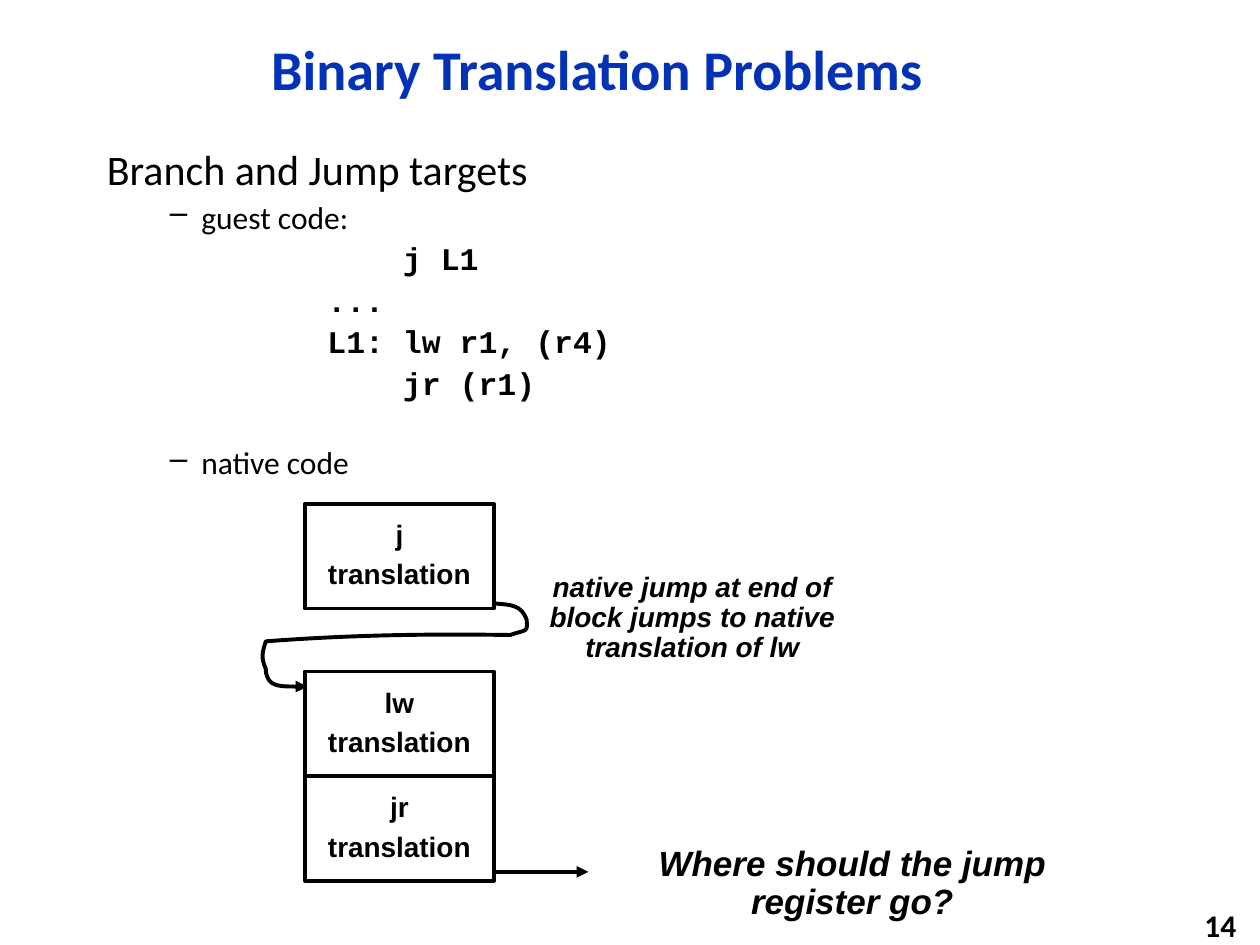
from pptx import Presentation
from pptx.dml.color import RGBColor
from pptx.enum.shapes import MSO_CONNECTOR as Connector, MSO_SHAPE as Shape
from pptx.enum.text import MSO_ANCHOR as Anchor, PP_ALIGN as Align
from pptx.oxml.ns import qn
from pptx.util import Inches, Pt
from lxml import etree

BLACK, BLUE = "000000", "0332B7"
BLOCK_W, BLOCK_H = 1.5, 0.83


def rgb(value):
    return RGBColor.from_string(value)


def style(paragraph, size, font="Arial", color=BLACK, bold=True, italic=False,
          align=Align.CENTER, spacing=0.9, before=0):
    face = paragraph.font
    face.name, face.size, face.bold, face.italic = font, Pt(size), bold, italic
    face.color.rgb = rgb(color)
    paragraph.alignment = align
    paragraph.line_spacing = spacing
    paragraph.space_before = Pt(before)


def indent(paragraph, left, bullet=None):
    """Set the left margin in inches; a bullet hangs 0.25 before it."""
    props = paragraph._p.get_or_add_pPr()
    props.set("marL", str(Inches(left)))
    props.set("indent", str(Inches(-0.25 if bullet else 0)))
    if bullet:
        etree.SubElement(props, qn("a:buChar")).set("char", bullet)
        # The bullet has to stand before the default run properties.
        props.append(props.find(qn("a:defRPr")))


def stroke(line, arrow=False):
    line.color.rgb = rgb(BLACK)
    line.width = Pt(2.25)
    if arrow:
        etree.SubElement(line._get_or_add_ln(), qn("a:tailEnd")).set("type", "triangle")


def add_title(slide, left, top, width, height):
    title = slide.shapes.title
    title.left, title.top = Inches(left), Inches(top)
    title.width, title.height = Inches(width), Inches(height)
    title.text_frame.text = "Binary Translation Problems"
    title.text_frame.vertical_anchor = Anchor.MIDDLE
    style(title.text_frame.paragraphs[0], 32, "Calibri", BLUE)


def add_text(slide, left, top, width, height, text, size, **look):
    box = slide.shapes.add_textbox(Inches(left), Inches(top), Inches(width), Inches(height))
    box.text_frame.word_wrap = True
    box.text_frame.text = text
    style(box.text_frame.paragraphs[0], size, **look)
    return box.text_frame


def add_outline(slide, left, top, width, height):
    label_column, code_column = 1.75, 2.35
    frame = add_text(slide, left, top, width, height, "Branch and Jump targets", 24,
                     font="Calibri", bold=False, align=Align.LEFT, spacing=0.8)

    def add_line(text, margin, before=6.4, bullet=None):
        paragraph = frame.add_paragraph()
        paragraph.text = text
        style(paragraph, 18, "Calibri" if bullet else "Courier New", bold=not bullet,
              align=Align.LEFT, spacing=0.8, before=before)
        indent(paragraph, margin, bullet)

    add_line("guest code:", 0.75, bullet="–")
    add_line("j L1", code_column)
    add_line("...", label_column)
    add_line("L1: lw r1, (r4)", label_column)
    add_line("jr (r1)", code_column)
    add_line("native code", 0.75, before=28, bullet="–")


def add_block(slide, left, top, instruction):
    block = slide.shapes.add_shape(Shape.RECTANGLE, Inches(left), Inches(top),
                                   Inches(BLOCK_W), Inches(BLOCK_H))
    block.shadow.inherit = False
    block.fill.background()
    stroke(block.line)
    frame = block.text_frame
    frame.vertical_anchor = Anchor.MIDDLE
    frame.text = f"{instruction}\ntranslation"
    for paragraph, before in zip(frame.paragraphs, (0, 5.2)):
        style(paragraph, 16, before=before)


def add_curved_arrow(slide, left, top, points):
    """Draw cubic curves: a start point, then three points for each curve."""
    start, *rest = [(Inches(left + x), Inches(top + y)) for x, y in points]
    builder = slide.shapes.build_freeform(*start)
    builder.add_line_segments(rest, close=False)
    curve = builder.convert_to_shape()
    curve.shadow.inherit = False
    curve.fill.background()
    stroke(curve.line, arrow=True)
    segments = list(curve._element.iter(qn("a:lnTo")))
    for first, second, third in zip(*[iter(segments)] * 3):
        first.tag = qn("a:cubicBezTo")
        for segment in (second, third):
            first.append(segment[0])
            segment.getparent().remove(segment)


def add_straight_arrow(slide, left, top, length):
    arrow = slide.shapes.add_connector(Connector.STRAIGHT, Inches(left), Inches(top),
                                       Inches(left + length), Inches(top))
    stroke(arrow.line, arrow=True)
    etree.SubElement(arrow._element.spPr, qn("a:effectLst"))


def add_native_code(slide, left, top):
    for instruction, offset in (("j", 0), ("lw", 1.33), ("jr", 1.33 + BLOCK_H)):
        add_block(slide, left, top + offset, instruction)
    add_curved_arrow(slide, left, top, [
        (1.51, 0.79),
        (1.63, 0.8), (1.72, 0.8), (1.76, 0.92),
        (1.76, 0.95), (1.77, 0.98), (1.75, 1),
        (1.74, 1.01), (1.65, 1.03), (1.63, 1.04),
        (0.96, 1.03), (0.36, 1.04), (-0.31, 1.09),
        (-0.34, 1.18), (-0.35, 1.22), (-0.31, 1.31),
        (-0.31, 1.33), (-0.31, 1.35), (-0.3, 1.37),
        (-0.27, 1.46), (-0.01, 1.45), (0.02, 1.45),
    ])
    add_straight_arrow(slide, left + BLOCK_W, top + 2.92, 0.75)
    add_text(slide, left + 1.66, top + 0.5, 2.83, 0.82,
             "native jump at end of block jumps to native translation of lw", 16, italic=True)
    add_text(slide, left + 2.16, top + 2.67, 4.37, 0.7,
             "Where should the jump register go?", 20, italic=True)


def main():
    deck = Presentation()
    deck.slide_width, deck.slide_height = Inches(10), Inches(7.5)
    slide = deck.slides.add_slide(deck.slide_layouts[5])
    add_title(slide, 0.75, 0.17, 7.98, 0.81)
    add_outline(slide, 0.75, 1.17, 9, 2.83)
    add_native_code(slide, 2.42, 4)
    page_number = add_text(slide, 7.83, 7.18, 2.08, 0.32, "14", 18,
                           font="Calibri", align=Align.RIGHT, spacing=1)
    page_number.vertical_anchor = Anchor.MIDDLE
    deck.save("out.pptx")


if __name__ == "__main__":
    main()
